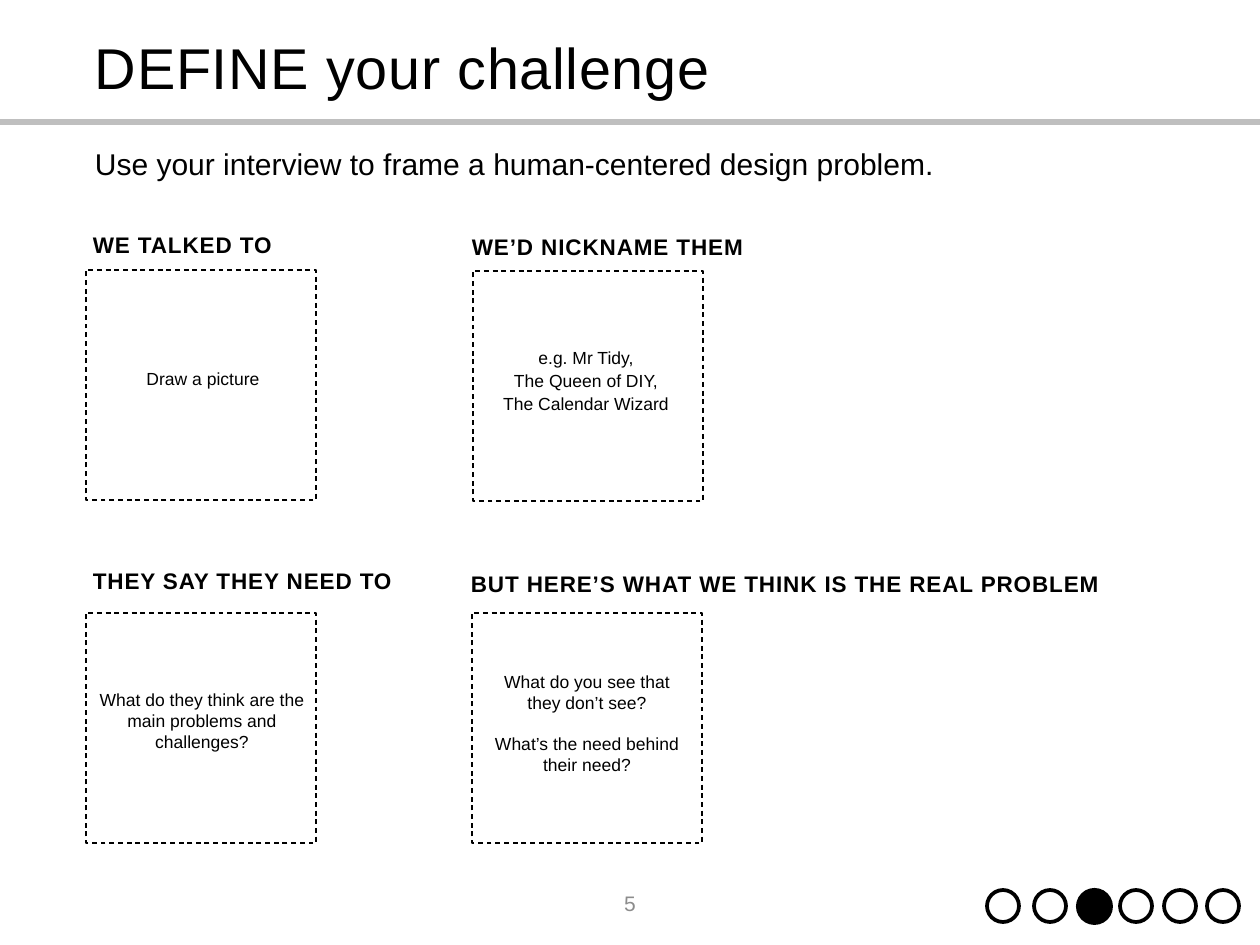
import pptx
import pptx.dml.color
import pptx.enum.dml
import pptx.enum.shapes
import pptx.enum.text
import pptx.oxml.ns
import pptx.util
from lxml import etree

PX = 914400 // 90
ALIGN = pptx.enum.text.PP_ALIGN
ANCHOR = pptx.enum.text.MSO_ANCHOR
SHAPES = pptx.enum.shapes.MSO_SHAPE


def px(*lengths):
    return [pptx.util.Emu(length * PX) for length in lengths]


def color(hex_code):
    return pptx.dml.color.RGBColor.from_string(hex_code)


def write(frame, lines, size, hex_code="000000", bold=False, align=ALIGN.LEFT,
          line_spacing=1.0, tracking=0, gap_before=None):
    """Fill a text frame; gap_before is the index of a line set off by a gap."""
    frame.word_wrap = True
    for index, line in enumerate(lines):
        paragraph = frame.paragraphs[0] if index == 0 else frame.add_paragraph()
        run = paragraph.add_run()
        run.text = line
        if tracking:
            run.font._element.set("spc", str(tracking))
        paragraph.alignment = align
        paragraph.line_spacing = line_spacing
        if index == gap_before:
            paragraph.space_before = pptx.util.Pt(16)
        paragraph.font.name = "Arial"
        paragraph.font.size = pptx.util.Pt(size)
        paragraph.font.bold = bold
        paragraph.font.color.rgb = color(hex_code)


def add_text(slide, box, lines, size, anchor=ANCHOR.TOP, **style):
    frame = slide.shapes.add_textbox(*px(*box)).text_frame
    frame.vertical_anchor = anchor
    write(frame, lines, size, **style)


def add_outline(slide, kind, box, width, fill=None, dash=None):
    shape = slide.shapes.add_shape(kind, *px(*box))
    shape.shadow.inherit = False
    if fill:
        shape.fill.solid()
        shape.fill.fore_color.rgb = color(fill)
    else:
        shape.fill.background()
    if width:
        shape.line.color.rgb = color("000000")
        shape.line.width = pptx.util.Pt(width)
        shape.line.dash_style = dash
    else:
        shape.line.fill.background()


def add_header(slide, left, top, width):
    # Rule under the title, across the slide
    rule = slide.shapes.add_connector(
        pptx.enum.shapes.MSO_CONNECTOR.STRAIGHT, *px(0, top + 108, 1260, top + 108))
    rule.line.color.rgb = color("BFBFBF")
    rule.line.width = pptx.util.Pt(5.25)
    etree.SubElement(rule._element.spPr, pptx.oxml.ns.qn("a:effectLst"))

    # Title and instruction
    title = slide.shapes.title
    title.left, title.top, title.width, title.height = px(left, top, width, 113)
    title.text_frame.vertical_anchor = ANCHOR.MIDDLE
    write(title.text_frame, ["DEFINE your challenge"], 46, line_spacing=0.9, tracking=60)
    add_text(slide, (left, top + 131, width, 83),
             ["Use your interview to frame a human-centered design problem."],
             24, line_spacing=0.9)


def add_card(slide, left, top, heading, heading_box, prompt, prompt_box, **style):
    """Dashed square with heading and prompt, placed relative to its corner."""
    side = 230
    add_outline(slide, SHAPES.RECTANGLE, (left, top, side, side), 1,
                dash=pptx.enum.dml.MSO_LINE.DASH)
    dx, dy, width = heading_box
    add_text(slide, (left + dx, top + dy, width, 36), [heading], 18, bold=True,
             line_spacing=style.pop("heading_spacing", 1.0), tracking=70)
    dx, dy, height = prompt_box
    add_text(slide, (left + dx, top + dy, side, height), prompt, 14,
             align=ALIGN.CENTER, **style)


def add_progress(slide, centers, middle, current):
    for step, center in enumerate(centers):
        size, width, fill = (37, 0, "000000") if step == current else (32, 3, "FFFFFF")
        box = (center - size // 2, middle - size // 2, size, size)
        add_outline(slide, SHAPES.OVAL, box, width, fill)


def main():
    deck = pptx.Presentation()
    deck.slide_width, deck.slide_height = px(1260, 945)
    slide = deck.slides.add_slide(deck.slide_layouts[5])

    add_header(slide, 86, 14, 1086)

    # Interview cards
    add_card(slide, 86, 270, "WE TALKED TO", (-2, -43, 207),
             ["Draw a picture"], (2, 94, 31))
    add_card(slide, 473, 271, "WE’D NICKNAME THEM", (-10, -42, 303),
             ["e.g. Mr Tidy,", "The Queen of DIY,", "The Calendar Wizard"],
             (-2, 69, 78), line_spacing=1.1)
    add_card(slide, 86, 613, "THEY SAY THEY NEED TO", (-2, -50, 322),
             ["What do they think are the main problems and challenges?"],
             (1, 72, 73))
    add_card(slide, 472, 613, "BUT HERE’S WHAT WE THINK IS THE REAL PROBLEM",
             (-10, -50, 711),
             ["What do you see that", "they don’t see?", "What’s the need behind their need?"],
             (0, 54, 115), gap_before=2, heading_spacing=1.1)

    # Page number and progress dots
    add_text(slide, (488, 878, 284, 50), ["5"], 16.8, anchor=ANCHOR.MIDDLE,
             hex_code="8C8C8C", align=ALIGN.CENTER)
    add_progress(slide, (1003, 1050, 1094, 1136, 1180, 1223), 906, current=2)

    deck.save("out.pptx")


if __name__ == "__main__":
    main()
